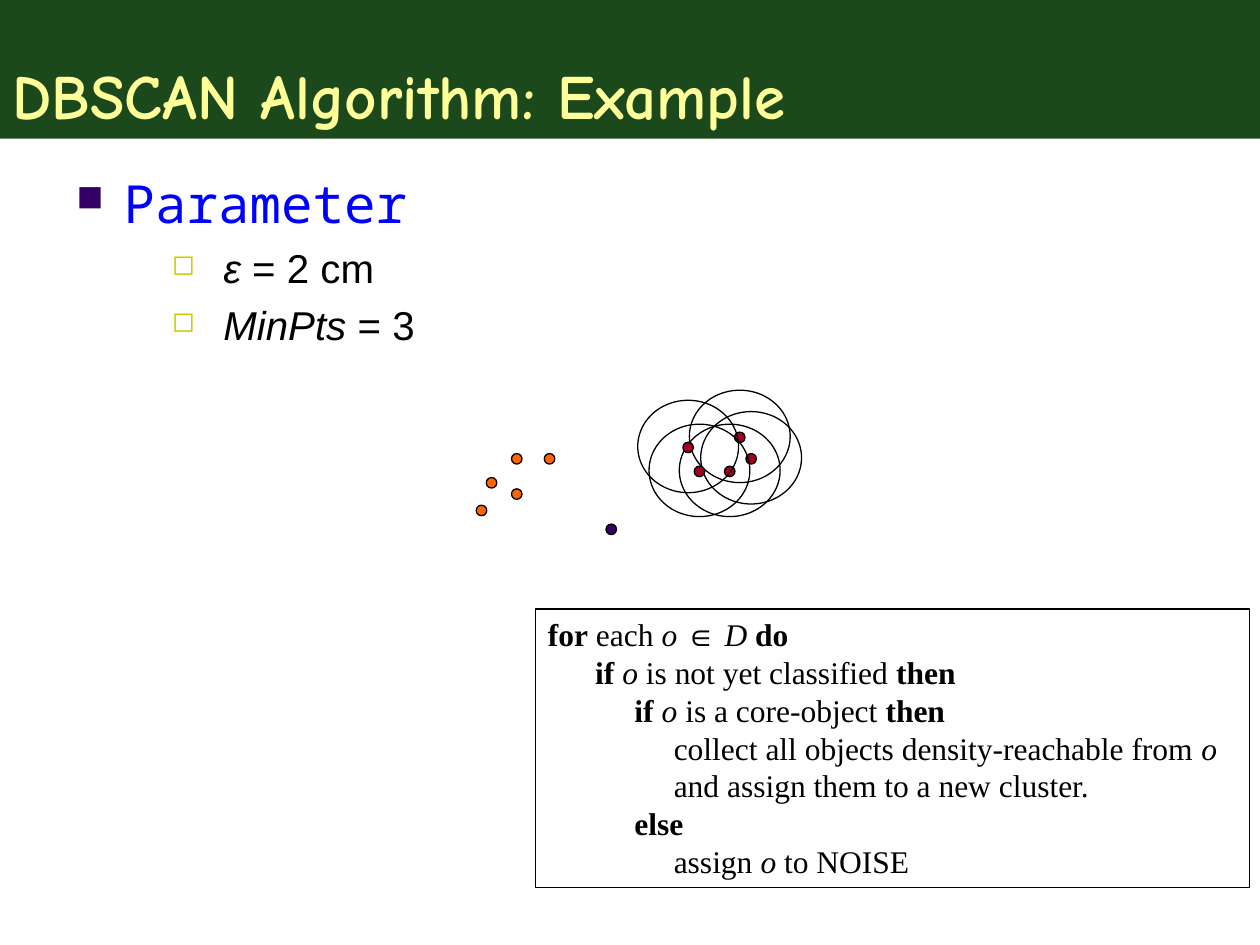
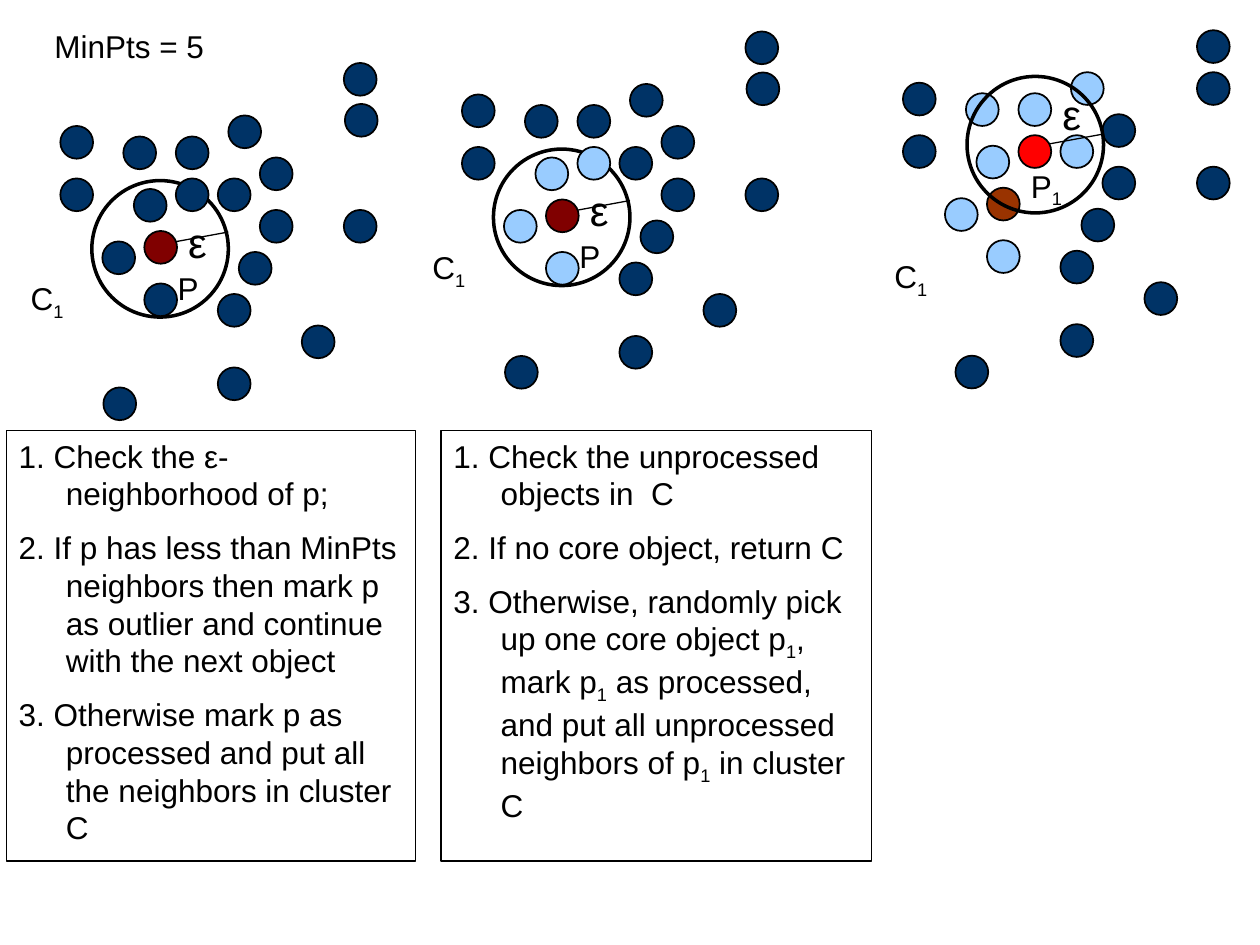
from dataclasses import dataclass, field
from typing import Any, NamedTuple

import lxml.etree
import pptx
import pptx.dml.color
import pptx.enum.shapes
import pptx.enum.text
import pptx.oxml.ns
import pptx.util

COLS, ROWS = 120, 90
WIDE, HIGH = pptx.util.Inches(10), pptx.util.Inches(7.5)
FORMS = {"": {}, "b": {"bold": True}, "i": {"italic": True}, "sub": {}}
SHAPE = pptx.enum.shapes.MSO_SHAPE
Spot = tuple[float, float]


@dataclass(frozen=True)
class Theme:
    black: str = "000000"
    band: str = "003300"
    title: str = "FFFF99"
    head: str = "0000FF"
    mark: str = "330066"
    submark: str = "CCCC00"
    orange: str = "FF6600"
    red: str = "A50021"
    noise: str = "330066"
    navy: str = "003366"
    light: str = "99CCFF"
    maroon: str = "800000"
    bright: str = "FF0000"
    brown: str = "993300"
    sans: str = "Arial"
    serif: str = "Times New Roman"
    mono: str = "Noto Sans Mono"
    comic: str = "Comic Neue"
    big: float = 36
    top: float = 30
    eps: float = 24
    sub: float = 23
    text: float = 18
    thin: float = 0.75
    rim: float = 1
    bold: float = 2


LOOK = Theme()


class Box(NamedTuple):
    """Place and size in grid cells."""
    col: float
    row: float
    wide: float
    high: float


class Bit(NamedTuple):
    text: str
    form: str = ""
    face: str = ""


@dataclass(frozen=True)
class Para:
    bits: tuple[Bit, ...]
    size: float = LOOK.text
    face: str = LOOK.sans
    color: str = LOOK.black
    bold: bool = False
    gap: float = 0
    left: float = 0
    hang: float = 0
    mark: str = ""
    tint: str = ""


@dataclass(frozen=True)
class Panel:
    """One stage of cluster growth; ring, ray, eps and name are offsets from the core."""
    base: Spot
    core: Spot
    fill: str
    far: tuple[Spot, ...]
    tints: dict[Spot, str] = field(default_factory=dict)
    ring: Spot = (-5, -4.8)
    over: bool = False
    ray: float = 1.2
    eps: Spot = (3, -2)
    name: Spot = (2, 3)
    label: tuple[Bit, ...] = (Bit("P"),)
    group: Spot = (-4, 20)


def across(cols: float) -> int:
    return round(WIDE * cols / COLS)


def down(rows: float) -> int:
    return round(HIGH * rows / ROWS)


def place(box: Box) -> tuple[int, int, int, int]:
    return across(box.col), down(box.row), across(box.wide), down(box.high)


def rgb(code: str) -> pptx.dml.color.RGBColor:
    return pptx.dml.color.RGBColor.from_string(code)


def apply(item: Any, form: dict[str, Any]) -> None:
    for key, value in form.items():
        setattr(item, key, value)


def child(node: Any, tag: str, **attrs: str) -> Any:
    return lxml.etree.SubElement(node, pptx.oxml.ns.qn(tag), attrs)


def shape(slide: Any, kind: Any, box: Box, fill: str = "", line: float = 0) -> Any:
    item = slide.shapes.add_shape(kind, *place(box))
    item.shadow.inherit = False
    if fill:
        item.fill.solid()
        item.fill.fore_color.rgb = rgb(fill)
    else:
        item.fill.background()
    if line:
        item.line.color.rgb = rgb(LOOK.black)
        item.line.width = pptx.util.Pt(line)
    else:
        item.line.fill.background()
    return item


def oval(slide: Any, box: Box, fill: str = "", line: float = LOOK.thin) -> None:
    shape(slide, SHAPE.OVAL, box, fill, line)


def bullet(para: Any, spec: Para) -> None:
    props = para._p.get_or_add_pPr()
    apply_left = {"marL": across(spec.left), "indent": across(-spec.hang)}
    for key, value in apply_left.items():
        props.set(key, str(value))
    if spec.mark:
        child(child(props, "a:buClr"), "a:srgbClr", val=spec.tint)
        child(props, "a:buSzPct", val="70000")
        child(props, "a:buChar", char=spec.mark)


def write(item: Any, paras: list[Para], anchor: str = "TOP") -> None:
    frame = item.text_frame
    frame.word_wrap = True
    frame.vertical_anchor = getattr(pptx.enum.text.MSO_ANCHOR, anchor)
    for num, spec in enumerate(paras):
        para = frame.add_paragraph() if num else frame.paragraphs[0]
        para.alignment = pptx.enum.text.PP_ALIGN.LEFT
        para.space_before = pptx.util.Pt(spec.gap if num else 0)
        bullet(para, spec)
        for bit in spec.bits:
            run = para.add_run()
            run.text = bit.text
            base = {"size": pptx.util.Pt(spec.size), "name": bit.face or spec.face,
                    "bold": spec.bold}
            apply(run.font, base | FORMS[bit.form])
            run.font.color.rgb = rgb(spec.color)
            if bit.form == "sub":
                run._r.get_or_add_rPr().set("baseline", "-25000")


def label(slide: Any, box: Box, *paras: Para) -> None:
    write(slide.shapes.add_textbox(*place(box)), list(paras))


def frame(slide: Any, box: Box, paras: list[Para]) -> None:
    write(shape(slide, SHAPE.RECTANGLE, box, line=LOOK.thin), paras)


def ray(slide: Any, start: Spot, end: Spot) -> None:
    line = slide.shapes.add_connector(
        pptx.enum.shapes.MSO_CONNECTOR.STRAIGHT,
        across(start[0]), down(start[1]), across(end[0]), down(end[1]))
    line.line.color.rgb = rgb(LOOK.black)
    line.line.width = pptx.util.Pt(LOOK.thin)
    child(line._element.spPr, "a:effectLst")


def band(slide: Any, text: str) -> None:
    item = shape(slide, SHAPE.RECTANGLE, Box(0, 0, COLS, 13.2), LOOK.band)
    tint = item._element.spPr.find(".//" + pptx.oxml.ns.qn("a:srgbClr"))
    child(tint, "a:alpha", val="89000")
    write(item, [Para((Bit(text),), LOOK.big, LOOK.comic, LOOK.title, True)], "BOTTOM")


ORANGE = ((45.36, 48.12), (48.72, 43.2), (51.84, 43.2), (46.32, 45.48), (48.72, 46.56))
CORES = ((71.04, 43.2), (69.96, 41.16), (69, 44.4), (66.12, 44.4), (65.04, 42.12))
NOISE = (57.72, 49.92)
CODE = (
    (Bit("for", "b"), Bit(" each "), Bit("o ", "i"), Bit("∈", face=LOOK.sans),
     Bit(" D ", "i"), Bit("do", "b")),
    (Bit("      if ", "b"), Bit("o", "i"), Bit(" is not yet classified "), Bit("then", "b")),
    (Bit("           if ", "b"), Bit("o", "i"), Bit(" is a core-object "), Bit("then", "b")),
    (Bit("                collect all objects density-reachable from "), Bit("o", "i")),
    (Bit("                and assign them to a new cluster."),),
    (Bit("           else", "b"),),
    (Bit("                assign "), Bit("o", "i"), Bit(" to NOISE")),
)


def example(slide: Any) -> None:
    for spot in ORANGE:
        oval(slide, Box(*spot, 1, 1), LOOK.orange)
    oval(slide, Box(*NOISE, 1, 1), LOOK.noise)
    for col, row in CORES:
        oval(slide, Box(col - 4.3, row - 4, 9.6, 8.8))
        oval(slide, Box(col, row, 1, 1), LOOK.red)
    band(slide, "DBSCAN Algorithm: Example")
    facts = [Para(bits, LOOK.sub, gap=5, left=14, hang=4.9, mark="◻", tint=LOOK.submark)
             for bits in ((Bit("ε", "i"), Bit(" = 2 cm")), (Bit("MinPts", "i"), Bit(" = 3")))]
    label(slide, Box(6.1, 15.7, 108, 69),
          Para((Bit("Parameter"),), LOOK.top, LOOK.mono, LOOK.head,
               left=4.5, hang=4.5, mark="■", tint=LOOK.mark), *facts)
    frame(slide, Box(51, 58, 68, 26.5), [Para(bits, face=LOOK.serif) for bits in CODE])


DOT = 3.12
ONE = Bit("1", "sub")
CLOUD = ((6, 7), (7, 12), (11, 11), (4, 17), (15, 11), (11, 7), (8, 21), (19, 9), (16, 5),
         (19, 14), (17, 18), (0, 11), (15, 22), (0, 6), (23, 25), (15, 29), (8, 16))
FAR = ((27, 0), (27.1, 3.9), (27, 14), (4.1, 30.9))
FIRST = dict.fromkeys(((7, 12), (11, 11), (4, 17), (8, 21)), LOOK.light)
NEXT = dict.fromkeys(((6, 7), (15, 11), (11, 7), (16, 5)), LOOK.light)
PANELS = (
    Panel((5.75, 6), (8, 16), LOOK.maroon, FAR),
    Panel((44, 3), (8, 16), LOOK.maroon, FAR, FIRST),
    Panel((86, 1.88), (11, 11), LOOK.bright, ((28, 1), (28, 5), (28, 14), (5, 32)),
          FIRST | NEXT | {(8, 16): LOOK.brown}, ring=(-4.9, -5.6), over=True, ray=1,
          eps=(3, -5), name=(0, 2.4), label=(Bit("P"), ONE), group=(-2, 22)),
)
CHECK = (
    (Bit("1. Check the ε-neighborhood of p;"),),
    (Bit("2. If p has less than MinPts neighbors then mark p as outlier "
         "and continue with the next object"),),
    (Bit("3. Otherwise mark p as processed and put all the neighbors in cluster C"),),
)
GROW = (
    (Bit("1. Check the unprocessed objects in  C"),),
    (Bit("2. If no core object, return C"),),
    (Bit("3. Otherwise, randomly pick up one core object p"), ONE, Bit(", mark p"), ONE,
     Bit(" as processed, and put all unprocessed neighbors of p"), ONE,
     Bit(" in cluster C")),
)


def stage(slide: Any, panel: Panel) -> None:
    left, top = panel.base
    col, row = left + panel.core[0], top + panel.core[1]
    ring = Box(col + panel.ring[0], row + panel.ring[1], 13, 13)
    if not panel.over:
        oval(slide, ring, line=LOOK.bold)
    for spot in CLOUD + panel.far:
        if spot != panel.core:
            oval(slide, Box(left + spot[0], top + spot[1], DOT, DOT),
                 panel.tints.get(spot, LOOK.navy), LOOK.rim)
    if panel.over:
        oval(slide, ring, line=LOOK.bold)
    ray(slide, (col + 2, row + panel.ray), (col + 8, row + panel.ray - 1.1))
    oval(slide, Box(col, row, DOT, DOT), panel.fill, LOOK.rim)
    label(slide, Box(col + panel.eps[0], row + panel.eps[1], DOT, 6),
          Para((Bit("ε"),), LOOK.eps))
    label(slide, Box(col + panel.name[0], row + panel.name[1], 7, 4.8), Para(panel.label))
    label(slide, Box(left + panel.group[0], top + panel.group[1], 7, 4.8),
          Para((Bit("C"), ONE)))


def steps(slide: Any) -> None:
    label(slide, Box(4, 2, 33, 4.8), Para((Bit("MinPts = 5"),)))
    for panel in PANELS:
        stage(slide, panel)
    for box, texts in ((Box(0.6, 41, 39, 41), CHECK), (Box(42, 41, 41, 41), GROW)):
        frame(slide, box, [Para(bits, gap=9, left=4.5, hang=4.5) for bits in texts])


def main() -> None:
    deck = pptx.Presentation()
    apply(deck, {"slide_width": WIDE, "slide_height": HIGH})
    for draw in (example, steps):
        draw(deck.slides.add_slide(deck.slide_layouts[6]))
    deck.save("out.pptx")


if __name__ == "__main__":
    main()
